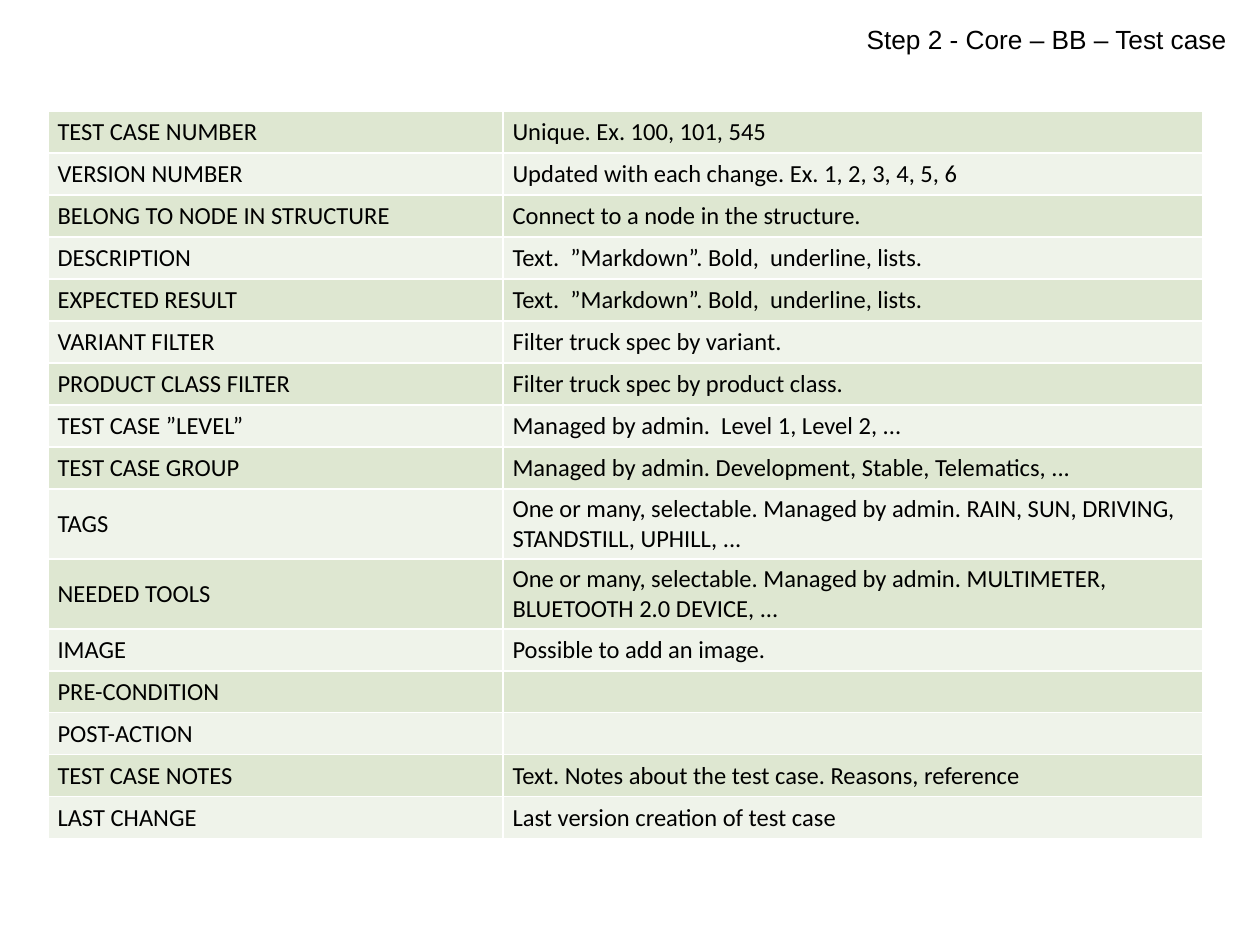
"""Build the test case field overview slide."""
from dataclasses import dataclass
from typing import NamedTuple

from lxml import etree
from pptx import Presentation
from pptx.dml.color import RGBColor
from pptx.enum.text import MSO_ANCHOR, MSO_AUTO_SIZE, PP_ALIGN
from pptx.oxml.ns import qn
from pptx.util import Length, Pt

RIGHT = PP_ALIGN.RIGHT
MIDDLE = MSO_ANCHOR.MIDDLE
FIT_SHAPE = MSO_AUTO_SIZE.SHAPE_TO_FIT_TEXT
BORDER_SIDES = ("a:lnL", "a:lnR", "a:lnT", "a:lnB")


@dataclass(frozen=True)
class Theme:
    ink: str = "000000"
    border: str = "FFFFFF"
    bands: tuple[str, str] = ("DEE7D1", "EFF3EA")
    title_font: str = "Arial"
    body_font: str = "Calibri"
    title_size: Length = Pt(15)
    body_size: Length = Pt(14)
    border_width: Length = Pt(1)
    margin_x: Length = Pt(5.4)
    margin_y: Length = Pt(3.2)


class Field(NamedTuple):
    name: str
    description: str = ""


THEME = Theme()
MARKDOWN = "Text.  ”Markdown”. Bold,  underline, lists."
SELECTABLE = "One or many, selectable. Managed by admin."
FIELDS = [
    Field("TEST CASE NUMBER", "Unique. Ex. 100, 101, 545"),
    Field("VERSION NUMBER", "Updated with each change. Ex. 1, 2, 3, 4, 5, 6"),
    Field("BELONG TO NODE IN STRUCTURE", "Connect to a node in the structure."),
    Field("DESCRIPTION", MARKDOWN),
    Field("EXPECTED RESULT", MARKDOWN),
    Field("VARIANT FILTER", "Filter truck spec by variant."),
    Field("PRODUCT CLASS FILTER", "Filter truck spec by product class."),
    Field("TEST CASE ”LEVEL”", "Managed by admin.  Level 1, Level 2, ..."),
    Field("TEST CASE GROUP", "Managed by admin. Development, Stable, Telematics, ..."),
    Field("TAGS", f"{SELECTABLE} RAIN, SUN, DRIVING, STANDSTILL, UPHILL, ..."),
    Field("NEEDED TOOLS", f"{SELECTABLE} MULTIMETER, BLUETOOTH 2.0 DEVICE, ..."),
    Field("IMAGE", "Possible to add an image."),
    Field("PRE-CONDITION"),
    Field("POST-ACTION"),
    Field("TEST CASE NOTES", "Text. Notes about the test case. Reasons, reference"),
    Field("LAST CHANGE", "Last version creation of test case"),
]
COLUMN_WIDTHS = (Pt(260), Pt(400))
ROW_HEIGHT = Pt(24)


def format_paragraph(p, font: str, size: Length) -> None:
    for r in p.runs:
        r.font.name = font
        r.font.size = size
        r.font.color.rgb = RGBColor.from_string(THEME.ink)
    if not p.runs:
        end = etree.SubElement(p._p, qn("a:endParaRPr"), sz=str(int(size.pt * 100)))
        etree.SubElement(end, qn("a:latin"), typeface=font)


def add_borders(cell) -> None:
    tc_pr = cell._tc.get_or_add_tcPr()
    for i, side in enumerate(BORDER_SIDES):
        line = etree.Element(qn(side), w=str(THEME.border_width))
        fill = etree.SubElement(line, qn("a:solidFill"))
        etree.SubElement(fill, qn("a:srgbClr"), val=THEME.border)
        tc_pr.insert(i, line)


def fill_cell(cell, text: str, color: str) -> None:
    cell.text_frame.text = text
    format_paragraph(cell.text_frame.paragraphs[0], THEME.body_font, THEME.body_size)
    cell.vertical_anchor = MIDDLE
    cell.margin_left = cell.margin_right = THEME.margin_x
    cell.margin_top = cell.margin_bottom = THEME.margin_y
    cell.fill.solid()
    cell.fill.fore_color.rgb = RGBColor.from_string(color)
    add_borders(cell)


def add_title(s, text: str) -> None:
    sp = s.shapes.add_textbox(Pt(486), Pt(10), Pt(222), Pt(25.2))
    tf = sp.text_frame
    tf.text = text
    tf.word_wrap = False
    tf.auto_size = FIT_SHAPE
    p = tf.paragraphs[0]
    p.alignment = RIGHT
    format_paragraph(p, THEME.title_font, THEME.title_size)


def add_field_table(s, fields: list[Field]) -> None:
    table = s.shapes.add_table(
        len(fields), len(COLUMN_WIDTHS), Pt(27.5), Pt(63.5),
        sum(COLUMN_WIDTHS), ROW_HEIGHT * len(fields),
    ).table
    table.first_row = False
    for column, width in zip(table.columns, COLUMN_WIDTHS):
        column.width = width
    for i, field in enumerate(fields):
        table.rows[i].height = ROW_HEIGHT
        for j, text in enumerate(field):
            fill_cell(table.cell(i, j), text, THEME.bands[i % 2])


def main() -> None:
    prs = Presentation()
    prs.slide_width, prs.slide_height = Pt(720), Pt(540)
    s = prs.slides.add_slide(prs.slide_layouts[6])
    add_title(s, "Step 2 - Core – BB – Test case")
    add_field_table(s, FIELDS)
    prs.save("out.pptx")


if __name__ == "__main__":
    main()
